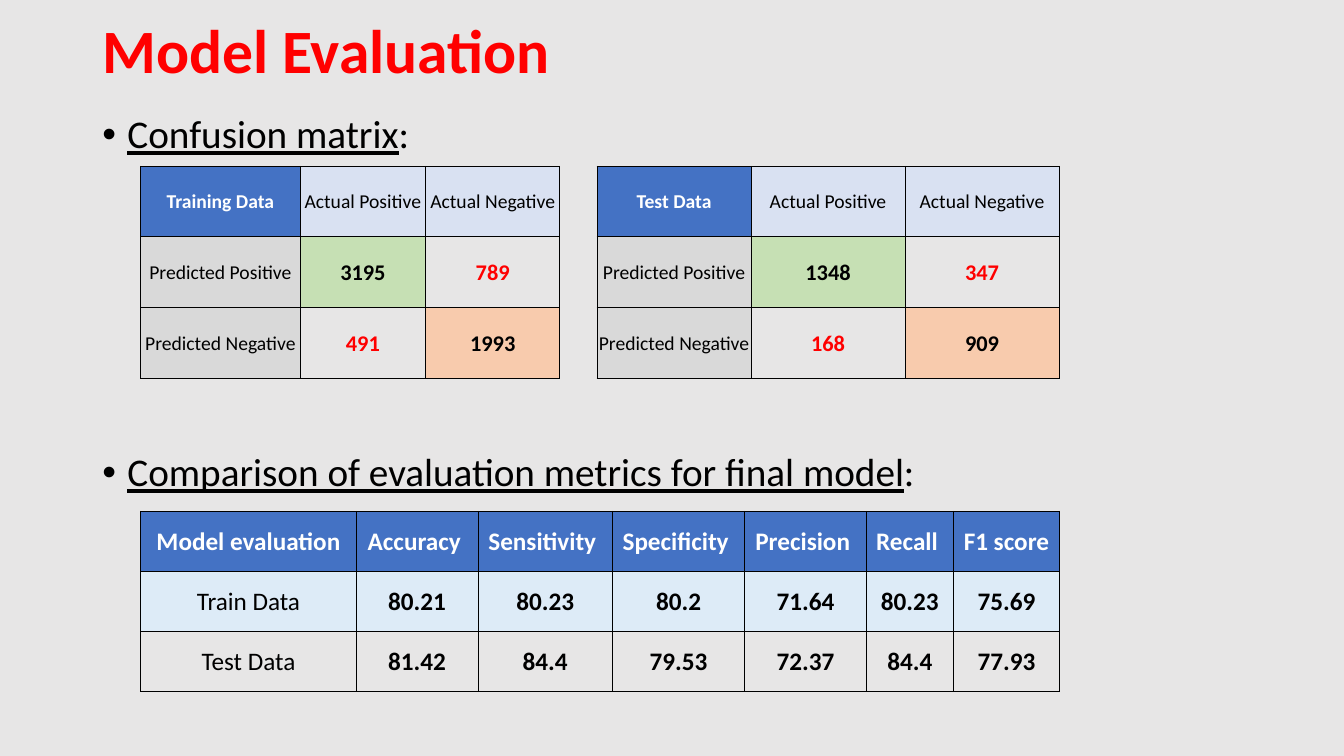
"""Build the Model Evaluation slide with two confusion matrices and a metrics table."""
import pptx
import pptx.dml.color
import pptx.enum.text
import pptx.oxml
import pptx.oxml.ns
import pptx.util

Pt = pptx.util.Pt
PP_ALIGN = pptx.enum.text.PP_ALIGN
MIDDLE = pptx.enum.text.MSO_ANCHOR.MIDDLE

COLORS = {
    "background": "E7E6E6", "red": "FF0000", "black": "000000", "white": "FFFFFF",
    "header": "4472C4", "actual": "D9E1F2", "predicted": "D9D9D9",
    "positive": "C6E0B4", "negative": "F8CBAD", "train": "DDEBF7",
}
TITLE = "Model Evaluation"
HEADINGS = [
    ("Confusion matrix", 78.5),
    ("Comparison of evaluation metrics for final model", 320),
]
MATRICES = [
    ("Training Data", [["3195", "789"], ["491", "1993"]], 100.5, [114, 89.5, 96]),
    ("Test Data", [["1348", "347"], ["168", "909"]], 426.5, [110, 110, 110]),
]
CLASSES = ["Positive", "Negative"]
METRICS = [
    ["Model evaluation", "Accuracy ", "Sensitivity ", "Specificity ", "Precision ",
     "Recall ", "F1 score"],
    ["Train Data", "80.21", "80.23", "80.2", "71.64", "80.23", "75.69"],
    ["Test Data", "81.42", "84.4", "79.53", "72.37", "84.4", "77.93"],
]
METRIC_FILLS = ["header", "train", None]
METRIC_WIDTHS = [154, 87, 96, 94.5, 87, 62, 76]


def rgb(name):
    return pptx.dml.color.RGBColor.from_string(COLORS[name])


def add_text(p, text, size=18, color="black", bold=False, underline=False, align=None):
    r = p.add_run()
    r.text = text
    r.font.name = "Calibri"
    r.font.size = Pt(size)
    r.font.bold = bold
    r.font.underline = underline
    r.font.color.rgb = rgb(color)
    if align is not None:
        p.alignment = align


def add_border(cell):
    tc_pr = cell._tc.get_or_add_tcPr()
    for i, side in enumerate(("lnL", "lnR", "lnT", "lnB")):
        tc_pr.insert(i, pptx.oxml.parse_xml(
            f'<a:{side} {pptx.oxml.ns.nsdecls("a")} w="9525"><a:solidFill>'
            f'<a:srgbClr val="{COLORS["black"]}"/></a:solidFill></a:{side}>'))


def add_grid(slide, left, top, widths, row_height, rows):
    frame = slide.shapes.add_table(len(rows), len(widths), Pt(left), Pt(top),
                                   Pt(sum(widths)), Pt(row_height * len(rows)))
    table = frame.table
    table.first_row = table.horz_banding = False
    for column, width in zip(table.columns, widths):
        column.width = Pt(width)
    for i, row in enumerate(rows):
        table.rows[i].height = Pt(row_height)
        for j, (text, fill, style) in enumerate(row):
            cell = table.cell(i, j)
            cell.vertical_anchor = MIDDLE
            cell.margin_left = cell.margin_right = cell.margin_top = Pt(0.6)
            cell.margin_bottom = 0
            if fill:
                cell.fill.solid()
                cell.fill.fore_color.rgb = rgb(fill)
            else:
                cell.fill.background()
            add_border(cell)
            add_text(cell.text_frame.paragraphs[0], text, align=PP_ALIGN.CENTER, **style)


def add_heading(slide, text, top):
    tf = slide.shapes.add_textbox(Pt(66), Pt(top), Pt(828), Pt(40)).text_frame
    tf.word_wrap = True
    p = tf.paragraphs[0]
    p.line_spacing = 0.9
    p_pr = p._p.get_or_add_pPr()
    p_pr.set("marL", str(Pt(18)))
    p_pr.set("indent", str(-Pt(18)))
    for bullet in ('buFont {} typeface="Arial"', 'buChar {} char="•"'):
        p_pr.append(pptx.oxml.parse_xml(
            f'<a:{bullet.format(pptx.oxml.ns.nsdecls("a"))}/>'))
    add_text(p, text, size=28, underline=True)
    add_text(p, ":", size=28)


def matrix_rows(name, counts):
    label = {"size": 14}
    rows = [[(name, "header", {"size": 14, "color": "white", "bold": True})]
            + [(f"Actual {c}", "actual", label) for c in CLASSES]]
    for i, values in enumerate(counts):
        row = [(f"Predicted {CLASSES[i]}", "predicted", label)]
        for j, value in enumerate(values):
            correct = i == j
            fill = CLASSES[i].lower() if correct else None
            color = "black" if correct else "red"
            row.append((value, fill, {"size": 16, "color": color, "bold": True}))
        rows.append(row)
    return rows


def metric_rows():
    return [[(text, fill, {"color": "white" if i == 0 else "black",
                           "bold": i == 0 or j > 0})
             for j, text in enumerate(row)]
            for i, (row, fill) in enumerate(zip(METRICS, METRIC_FILLS))]


def main():
    prs = pptx.Presentation()
    prs.slide_width, prs.slide_height = Pt(960), Pt(540)
    slide = prs.slides.add_slide(prs.slide_layouts[5])
    slide.background.fill.solid()
    slide.background.fill.fore_color.rgb = rgb("background")

    title = slide.shapes.title
    title.left, title.top, title.width, title.height = Pt(66), Pt(9.5), Pt(828), Pt(57.5)
    tf = title.text_frame
    tf.auto_size = pptx.enum.text.MSO_AUTO_SIZE.NONE
    tf.vertical_anchor = MIDDLE
    tf.paragraphs[0].line_spacing = 0.9
    add_text(tf.paragraphs[0], TITLE, size=44, color="red", bold=True, align=PP_ALIGN.LEFT)

    for text, top in HEADINGS:
        add_heading(slide, text, top)
    add_grid(slide, 100.5, 365.25, METRIC_WIDTHS, 43, metric_rows())
    for name, counts, left, widths in MATRICES:
        add_grid(slide, left, 118.75, widths, 50.5, matrix_rows(name, counts))
    prs.save("out.pptx")


if __name__ == "__main__":
    main()
